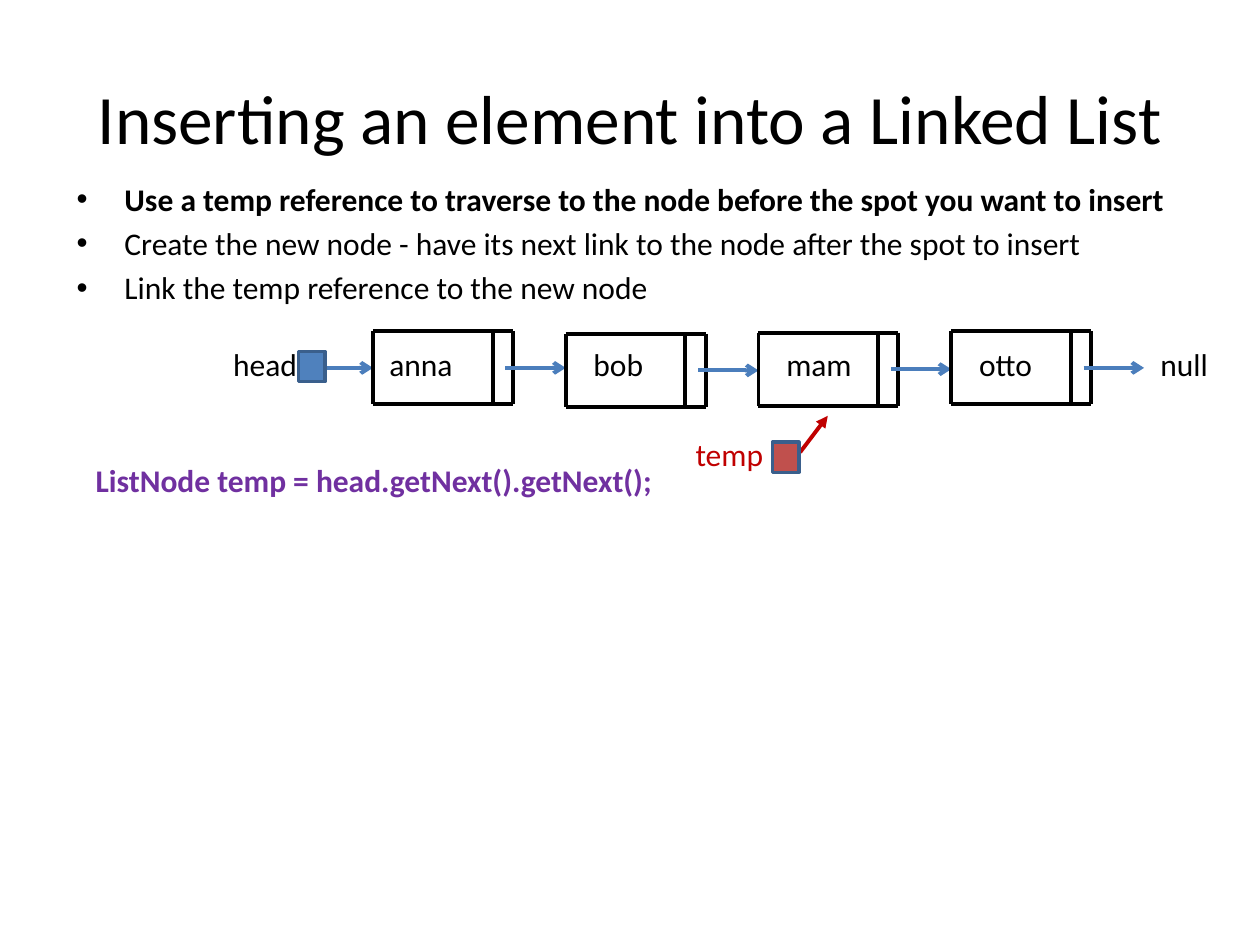
import pptx
import pptx.util
import pptx.dml.color
import pptx.enum.shapes
import pptx.enum.text
import pptx.oxml.xmlchemy

Inches = pptx.util.Inches
RGBColor = pptx.dml.color.RGBColor

BLACK = RGBColor(0x00, 0x00, 0x00)
ARROW_BLUE = RGBColor(0x4B, 0x7E, 0xBC)
HEAD_BLUE = RGBColor(0x4F, 0x81, 0xBD)
BORDER_BLUE = RGBColor(0x3A, 0x5F, 0x8C)
TEMP_RED = RGBColor(0xC0, 0x00, 0x00)
TEMP_FILL = RGBColor(0xC0, 0x50, 0x4D)
CODE_PURPLE = RGBColor(0x70, 0x30, 0xA0)

STEPS = [
    "Use a temp reference to traverse to the node before the spot you want to insert",
    "Create the new node - have its next link to the node after the spot to insert",
    "Link the temp reference to the new node",
]
# Each node: word, top of its box, inset of the word from the box's left side
NODES = [("anna", 2.63, 0.13), ("bob", 2.65, 0.22), ("mam", 2.64, 0.22), ("otto", 2.63, 0.22)]
NODE_LEFT, NODE_STEP = 2.96, 1.53
NODE_WIDTH, NODE_HEIGHT = 1.11, 0.58
LABEL_TOP, LABEL_WIDTH, LABEL_HEIGHT = 2.74, 0.65, 0.31


def add_span(para, text, size=18, color=BLACK, bold=False):
    span = para.add_run()
    span.text = text
    values = {"name": "Calibri", "size": pptx.util.Pt(size), "bold": bold}
    for name, value in values.items():
        setattr(span.font, name, value)
    span.font.color.rgb = color


def add_label(page, box, text, color=BLACK, bold=False):
    frame = page.shapes.add_textbox(*map(Inches, box)).text_frame
    values = {"word_wrap": False, "margin_left": 0, "margin_right": 0,
              "margin_top": 0, "margin_bottom": 0}
    for name, value in values.items():
        setattr(frame, name, value)
    add_span(frame.paragraphs[0], text, color=color, bold=bold)


def append_element(parent, tag, **attributes):
    element = pptx.oxml.xmlchemy.OxmlElement(tag)
    for name, value in attributes.items():
        element.set(name, value)
    parent.append(element)


def add_line(page, start, end, color=BLACK, arrowhead=None):
    line = page.shapes.add_connector(
        pptx.enum.shapes.MSO_CONNECTOR.STRAIGHT, *map(Inches, (*start, *end)))
    line.line.color.rgb = color
    line.line.width = pptx.util.Pt(2.25)
    properties = line._element.spPr
    if arrowhead:
        append_element(properties.ln, "a:tailEnd", type=arrowhead)
    append_element(properties, "a:effectLst")


def add_reference(page, box, fill):
    square = page.shapes.add_shape(
        pptx.enum.shapes.MSO_SHAPE.RECTANGLE, *map(Inches, box))
    square.shadow.inherit = False
    square.fill.solid()
    square.fill.fore_color.rgb = fill
    square.line.color.rgb = BORDER_BLUE
    square.line.width = pptx.util.Pt(2)


def place_title(page, box, text):
    title = page.shapes.title
    for name, value in zip(("left", "top", "width", "height"), box):
        setattr(title, name, Inches(value))
    title.text_frame.vertical_anchor = pptx.enum.text.MSO_ANCHOR.MIDDLE
    para = title.text_frame.paragraphs[0]
    para.alignment = pptx.enum.text.PP_ALIGN.CENTER
    add_span(para, text, size=39.6)


def place_steps(page, box, steps):
    frame = page.shapes.add_textbox(*map(Inches, box)).text_frame
    frame.word_wrap = True
    for index, step in enumerate(steps):
        para = frame.add_paragraph() if index else frame.paragraphs[0]
        para.space_before = pptx.util.Pt(3.6)
        properties = para._p.get_or_add_pPr()
        properties.set("marL", str(Inches(0.38)))
        properties.set("indent", str(Inches(-0.38)))
        append_element(properties, "a:buFont", typeface="Arial")
        append_element(properties, "a:buChar", char="•")
        add_span(para, step, bold=index == 0)


def place_node(page, box, word, inset):
    left, top, width, height = box
    right, bottom = left + width, top + height
    # Outline and the divider before the next link
    for y in (top, bottom):
        add_line(page, (left, y), (right, y))
    for x in (left, right - 0.16, right):
        add_line(page, (x, top), (x, bottom))
    # Link to the next node
    middle = top + height / 2
    add_line(page, (right - 0.06, middle), (right + 0.42, middle), ARROW_BLUE, "arrow")
    add_label(page, (left + inset, LABEL_TOP, LABEL_WIDTH, LABEL_HEIGHT), word)


def place_list(page):
    # Head reference
    add_label(page, (1.85, LABEL_TOP, LABEL_WIDTH, LABEL_HEIGHT), "head")
    add_line(page, (2.48, 2.92), (NODE_LEFT, 2.92), ARROW_BLUE, "arrow")
    add_reference(page, (2.37, 2.79, 0.21, 0.24), HEAD_BLUE)
    # Chain of nodes
    for index, (word, top, inset) in enumerate(NODES):
        left = NODE_LEFT + index * NODE_STEP
        place_node(page, (left, top, NODE_WIDTH, NODE_HEIGHT), word, inset)
    add_label(page, (9.21, LABEL_TOP, LABEL_WIDTH, LABEL_HEIGHT), "null")


def place_temp(page, box):
    left, top, width, height = box
    add_label(page, (left, top, LABEL_WIDTH, height), "temp", TEMP_RED)
    add_line(page, (left + width, top + 0.14), (6.57, 3.3), TEMP_RED, "triangle")
    add_reference(page, (left + width - 0.22, top + 0.06, 0.21, 0.24), TEMP_FILL)


def main():
    deck = pptx.Presentation()
    deck.slide_width, deck.slide_height = Inches(10), Inches(7.5)
    page = deck.slides.add_slide(deck.slide_layouts.get_by_name("Title Only"))
    place_title(page, (0.5, 0.3, 9, 1.25), "Inserting an element into a Linked List")
    place_steps(page, (0.51, 1.38, 9, 1.33), STEPS)
    place_list(page)
    add_label(page, (0.76, 3.66, 4.6, LABEL_HEIGHT),
              "ListNode temp = head.getNext().getNext();", CODE_PURPLE, True)
    place_temp(page, (5.52, 3.45, 0.83, LABEL_HEIGHT))
    deck.save("out.pptx")


if __name__ == "__main__":
    main()
